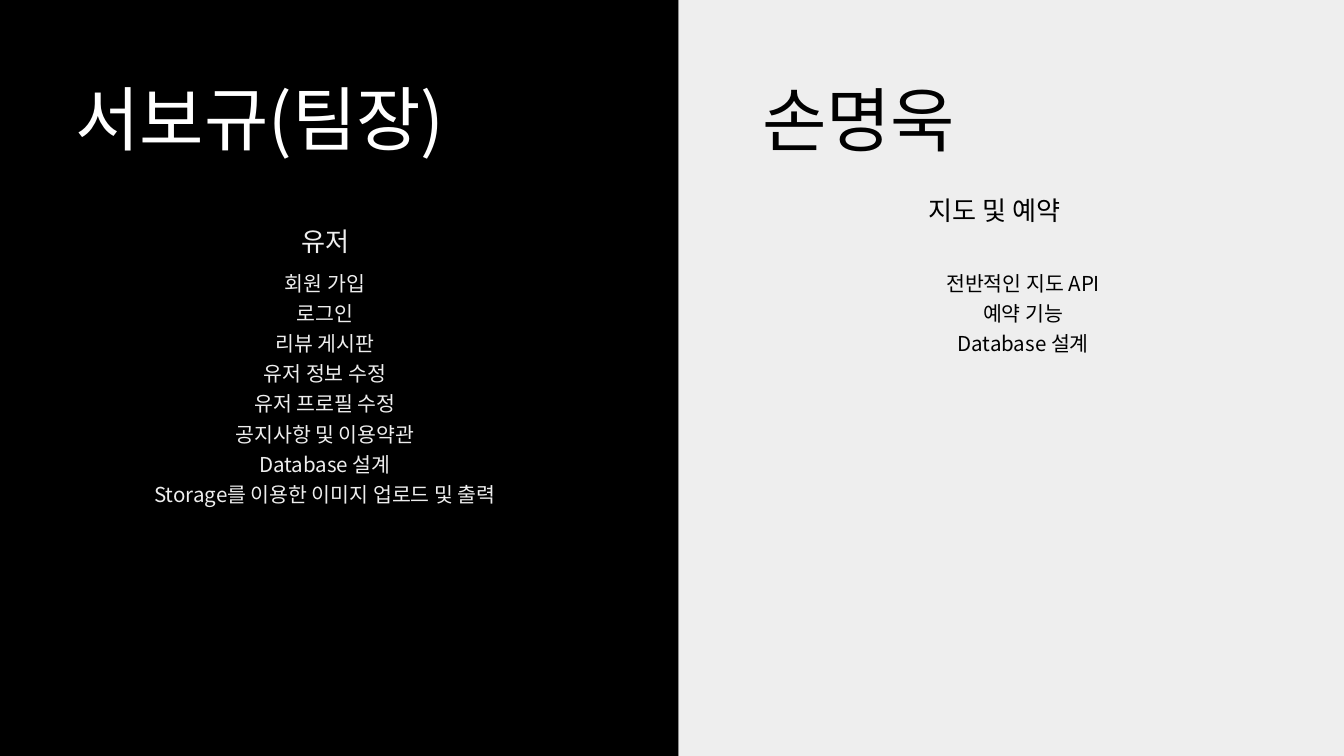
from pptx import Presentation
from pptx.dml.color import RGBColor
from pptx.enum.shapes import MSO_SHAPE
from pptx.enum.text import MSO_AUTO_SIZE, PP_ALIGN
from pptx.util import Inches, Pt

RECT = MSO_SHAPE.RECTANGLE
GROW = MSO_AUTO_SIZE.SHAPE_TO_FIT_TEXT
LEFT, MID = PP_ALIGN.LEFT, PP_ALIGN.CENTER
BLACK = RGBColor(0, 0, 0)
WHITE = RGBColor(255, 255, 255)
GREY = RGBColor(0xEE, 0xEE, 0xEE)

COLS, ROWS = 20, 11.25  # grid cells of one inch
SPLIT = 10.1


def face(line):
    """Lines with Latin letters or signs use the Noto face."""
    latin = any(c.isascii() and c != " " for c in line)
    return "Noto Sans CJK KR" if latin else "Calibri"


class Deck:
    # role: width, row height, text size, line pitch, alignment
    STYLES = {
        "name": (7.43, 1.31, 75, 94.5, LEFT),
        "topic": (4.36, 0.51, 28, 35.3, MID),
        "tasks": (5.21, 0.45, 22, 32.3, MID),
    }

    def __init__(self):
        self.prs = Presentation()
        self.prs.slide_width = Inches(COLS)
        self.prs.slide_height = Inches(ROWS)
        self.slide = self.prs.slides.add_slide(self.prs.slide_layouts[6])

    def panel(self, col, wide, fill):
        box = self.slide.shapes.add_shape(
            RECT, Inches(col), 0, Inches(wide), Inches(ROWS))
        box.shadow.inherit = False
        box.fill.solid()
        box.fill.fore_color.rgb = fill
        box.line.fill.background()

    def text(self, role, col, row, lines, ink):
        wide, high, size, pitch, align = self.STYLES[role]
        box = self.slide.shapes.add_textbox(
            Inches(col), Inches(row), Inches(wide), Inches(high * len(lines)))
        frame = box.text_frame
        frame.margin_left = frame.margin_right = 0
        frame.margin_top = frame.margin_bottom = 0
        frame.word_wrap = True
        frame.auto_size = GROW
        frame.text = "\n".join(lines)
        for para in frame.paragraphs:
            para.alignment = align
            para.line_spacing = Pt(pitch)
            for run in para.runs:
                run.font.size = Pt(size)
                run.font.name = face(run.text)
                run.font.color.rgb = ink


def main():
    deck = Deck()
    deck.panel(0, SPLIT, BLACK)
    deck.panel(SPLIT, COLS - SPLIT, GREY)

    deck.text("name", 1.12, 1.06, ["서보규(팀장)"], WHITE)
    deck.text("topic", 2.66, 3.33, ["유저"], GREY)
    deck.text("tasks", 2.23, 3.95, [
        "회원 가입",
        "로그인",
        "리뷰 게시판",
        "유저 정보 수정",
        "유저 프로필 수정",
        "공지사항 및 이용약관",
        "Database 설계",
        "Storage를 이용한 이미지 업로드 및 출력",
    ], GREY)

    deck.text("name", 11.34, 1.07, ["손명욱"], BLACK)
    deck.text("topic", 12.62, 2.87, ["지도 및 예약"], BLACK)
    deck.text("tasks", 12.62, 3.95, [
        "전반적인 지도 API",
        "예약 기능",
        "Database 설계",
    ], BLACK)
    deck.prs.save("out.pptx")


if __name__ == "__main__":
    main()
